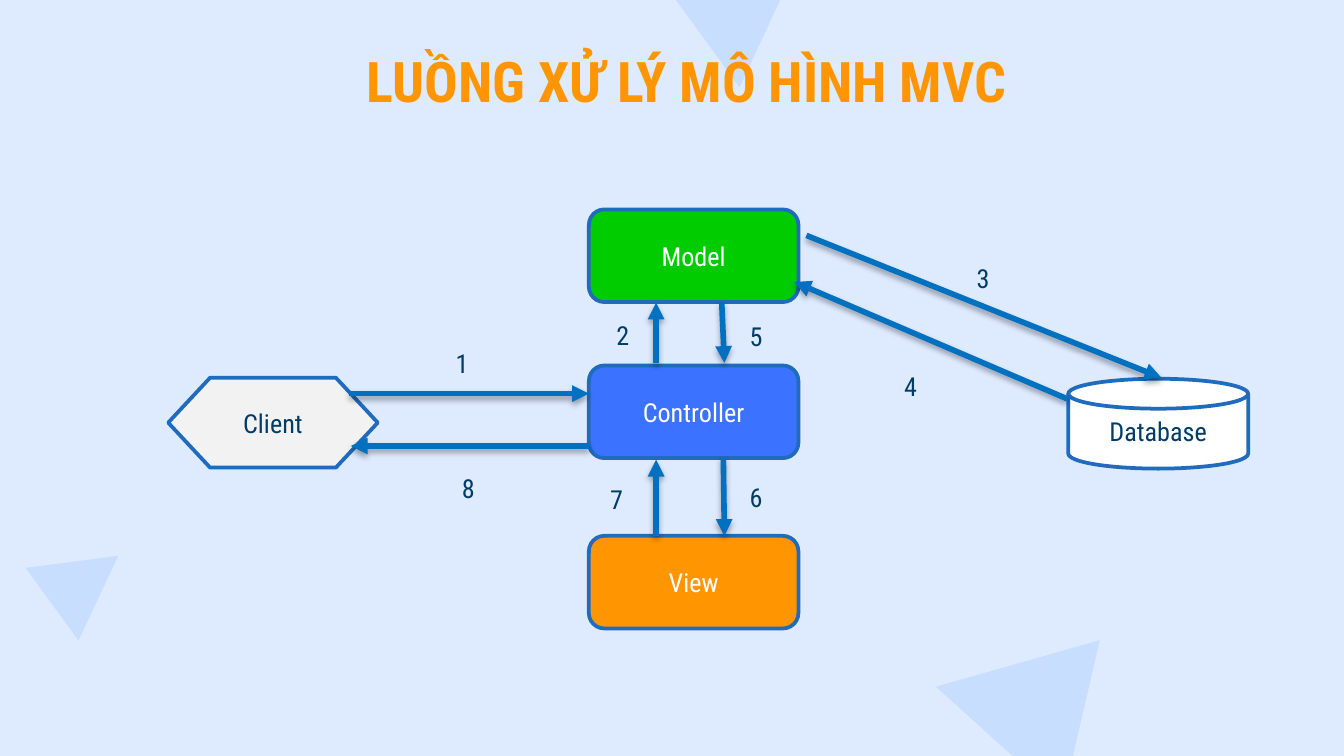
from lxml.etree import SubElement
from pptx import Presentation
from pptx.dml.color import RGBColor
from pptx.enum.shapes import MSO_CONNECTOR, MSO_SHAPE as SHAPE
from pptx.enum.text import MSO_ANCHOR as ANCHOR, PP_ALIGN as ALIGN
from pptx.oxml.ns import qn
from pptx.util import Cm, Pt

COLORS = {
    "background": "DEEBFF", "triangle": "C8DEFF", "title": "FF9500",
    "text": "003C67", "white": "FFFFFF", "border": "1F6BBD",
    "client": "F2F2F2", "model": "00CC00", "controller": "3B72FF",
    "view": "FF9500", "arrow": "0070C0", "shadow": "000000",
}


def rgb(name):
    return RGBColor.from_string(COLORS[name])


def add_text(sp, text, color, size=14, bold=False, align=ALIGN.CENTER, anchor=ANCHOR.MIDDLE):
    tf = sp.text_frame
    tf.word_wrap = True
    tf.vertical_anchor = anchor
    p = tf.paragraphs[0]
    p.alignment = align
    r = p.add_run()
    r.text = text
    r.font.name = "Roboto Condensed"
    r.font.size = Pt(size)
    r.font.bold = bold
    r.font.color.rgb = rgb(color)
    return tf


prs = Presentation()
prs.slide_width, prs.slide_height = Cm(25.4), Cm(14.29)
s = prs.slides.add_slide(prs.slide_layouts[6])
s.background.fill.solid()
s.background.fill.fore_color.rgb = rgb("background")

triangles = [
    (0.76, 10.19, 1.7, 1.55, 53.9),
    (12.93, -1.09, 2.44, 2.21, 53.9),
    (17.5, 11.89, 3.12, 2.82, 283.1),
]
for x, y, w, h, angle in triangles:
    sp = s.shapes.add_shape(SHAPE.ISOSCELES_TRIANGLE, Cm(x), Cm(y), Cm(w), Cm(h))
    sp.rotation = angle
    sp.shadow.inherit = False
    sp.fill.solid()
    sp.fill.fore_color.rgb = rgb("triangle")
    sp.line.fill.background()

title = s.shapes.add_textbox(Cm(2.26), Cm(0.76), Cm(21.44), Cm(1.75))
tf = add_text(title, "LUỒNG XỬ LÝ MÔ HÌNH MVC", "title", 30, True)
tf.margin_top = tf.margin_bottom = Cm(0.25)
tf.paragraphs[0].line_spacing = 0.8

nodes = [
    ("Client", SHAPE.FLOWCHART_PREPARATION, 3.18, 7.14, 3.96, 1.7, "client", "text"),
    ("Model", SHAPE.ROUNDED_RECTANGLE, 11.13, 3.96, 3.96, 1.75, "model", "white"),
    ("Controller", SHAPE.ROUNDED_RECTANGLE, 11.13, 6.91, 3.96, 1.75, "controller", "white"),
    ("View", SHAPE.ROUNDED_RECTANGLE, 11.13, 10.13, 3.96, 1.75, "view", "white"),
    ("Database", SHAPE.FLOWCHART_MAGNETIC_DISK, 20.19, 7.16, 3.4, 1.7, "white", "text"),
]
for text, kind, x, y, w, h, fill, color in nodes:
    sp = s.shapes.add_shape(kind, Cm(x), Cm(y), Cm(w), Cm(h))
    sp.shadow.inherit = False
    sp.fill.solid()
    sp.fill.fore_color.rgb = rgb(fill)
    sp.line.color.rgb = rgb("border")
    sp.line.width = Pt(2)
    add_text(sp, text, color)

steps = [
    ((6.6, 7.44), (11.13, 7.44), (8.36, 6.45)),
    ((12.4, 6.86), (12.4, 5.72), (11.4, 5.92)),
    ((15.24, 4.45), (21.95, 7.14), (18.21, 4.83)),
    ((20.17, 7.54), (15.01, 5.33), (16.84, 6.88)),
    ((13.64, 5.72), (13.69, 6.86), (13.92, 5.94)),
    ((13.67, 8.64), (13.69, 10.13), (13.92, 8.97)),
    ((12.4, 10.13), (12.4, 8.69), (11.28, 9.02)),
    ((11.13, 8.43), (6.63, 8.43), (8.48, 8.81)),
]
for number, (start, end, label) in enumerate(steps, 1):
    arrow = s.shapes.add_connector(MSO_CONNECTOR.STRAIGHT, *map(Cm, start + end))
    arrow.line.color.rgb = rgb("arrow")
    arrow.line.width = Pt(3)
    SubElement(arrow.line._get_or_add_ln(), qn("a:tailEnd"), type="triangle")
    effects = SubElement(arrow._element.spPr, qn("a:effectLst"))
    shadow = SubElement(effects, qn("a:outerShdw"), blurRad="40000", dist="23000",
                        dir="5400000", rotWithShape="0")
    shade = SubElement(shadow, qn("a:srgbClr"), val=COLORS["shadow"])
    SubElement(shade, qn("a:alpha"), val="35000")

    sp = s.shapes.add_textbox(*map(Cm, label), Cm(0.99), Cm(0.86))
    add_text(sp, str(number), "text", align=ALIGN.LEFT, anchor=ANCHOR.TOP)

prs.save("out.pptx")
